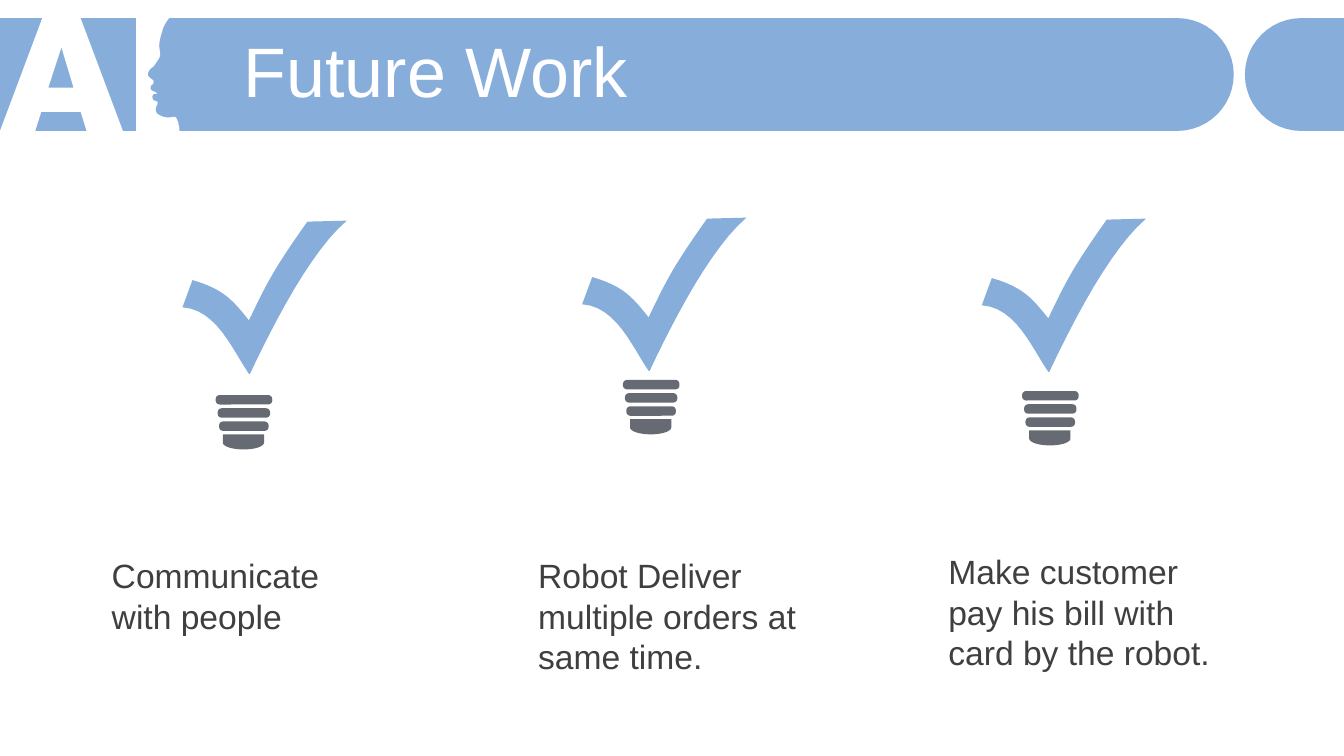
from lxml.etree import SubElement
from pptx import Presentation
from pptx.dml.color import RGBColor
from pptx.enum.shapes import MSO_SHAPE as Preset
from pptx.enum.text import MSO_ANCHOR as Anchor, MSO_AUTO_SIZE as AutoSize, PP_ALIGN as Align
from pptx.oxml.ns import qn
from pptx.util import Inches, Pt

BLUE = RGBColor(0x87, 0xAD, 0xDB)
WHITE = RGBColor(0xFF, 0xFF, 0xFF)
NAVY = RGBColor(0x22, 0x2A, 0x35)
CHARCOAL = RGBColor(0x3F, 0x3F, 0x3F)

COLUMNS = 160
BAND_TOP, BAND_BOTTOM = 2.16, 15.6
CURVE_STEPS = 12

LETTER_A = [(5.04, BAND_TOP), (9.6, BAND_TOP), (14.64, BAND_BOTTOM), (10.32, BAND_BOTTOM),
            (9.6, 13.32), (4.92, 13.32), (4.2, BAND_BOTTOM), (0, BAND_BOTTOM)]
LETTER_A_HOLE = [(7.32, 5.64), (5.76, 10.44), (8.76, 10.44)]
PROFILE = [
    (16.2, BAND_TOP), (20.16, BAND_TOP), (19.92, 2.4, 19.44, 3.12, 19.32, 3.72),
    (19.08, 4.44, 18.96, 5.04, 18.96, 5.52), (19.08, 6.48), (19, 6.84),
    (18.84, 7.08, 18.36, 7.92, 18.12, 8.04), (17.76, 8.28, 17.52, 8.76, 17.64, 9),
    (17.76, 9.24, 18, 9.36, 18.12, 9.48), (18.24, 9.48, 18.36, 9.72, 18.24, 9.96),
    (18.24, 10.08, 18, 10.08, 18, 10.2), (17.88, 10.44, 17.88, 10.68, 18.12, 10.8),
    (18.36, 10.92, 18.72, 11.04, 18.72, 11.16), (18.72, 11.16, 18.24, 11.16, 18.24, 11.28),
    (18.12, 11.4, 18.12, 11.64, 18.24, 11.88), (18.24, 12, 18.6, 12, 18.72, 12.12),
    (18.84, 12.36, 18.72, 12.36, 18.6, 12.72), (18.48, 13.08, 18.48, 13.56, 19.2, 13.8),
    (19.68, 14.04, 20.16, 14.04, 20.64, 13.92), (20.88, 13.92),
    (21.12, 14.16, 21.12, 14.4, 21.24, 14.64), (21.24, 14.88, 21.36, 15.12, 21.36, 15.36),
    (21.36, BAND_BOTTOM), (16.2, BAND_BOTTOM)]
CHECK = [(19.56, 0), (15.36, 3.6, 11.04, 11.88, 8.04, 18.24), (7.92, 18.24),
         (6, 15.48, 4.08, 10.56, 0, 10.32), (1.2, 7.08),
         (4.92, 8.16, 6, 9.48, 7.92, 11.88), (10.08, 7.32, 11.04, 5.52, 14.88, 0.12)]
BULB_BASE = [(0.84, 4.68), (5.76, 4.68), (5.76, 5.64),
             (5.76, 6.12, 4.68, 6.48, 3.3, 6.48), (1.98, 6.48, 0.84, 6.12, 0.84, 5.64)]
BULB_RINGS = [(0, 6.74), (0.24, 6.24), (0.4, 5.9)]
RING_PITCH, RING_HEIGHT = 1.57, 1.13

IDEAS = [
    ("Communicate with people", (21.72, 26.28), (25.68, 47.04), (12.12, 65.52, 33.84, 15.72)),
    ("Robot Deliver multiple orders at same time.", (69.3, 25.92), (74.16, 45.24),
     (62.88, 65.52, 33.84, 15.72)),
    ("Make customer pay his bill with card by the robot.", (116.88, 26.04), (121.68, 46.56),
     (111.72, 65.04, 36.36, 15.72)),
]


def write(text_frame, text, size=24, color=CHARCOAL, font="Arial", anchor=Anchor.TOP, spacing=None):
    text_frame.word_wrap = True
    text_frame.auto_size = AutoSize.NONE
    text_frame.vertical_anchor = anchor
    paragraph = text_frame.paragraphs[0]
    paragraph.alignment = Align.LEFT
    paragraph.line_spacing = spacing
    run = paragraph.add_run()
    run.text = text
    run.font.name, run.font.size, run.font.color.rgb = font, Pt(size), color


def flatten(outline):
    points = []
    for step in outline:
        if len(step) == 2:
            points.append(step)
            continue
        controls = (points[-1], step[:2], step[2:4], step[4:])
        for index in range(1, CURVE_STEPS + 1):
            t = index / CURVE_STEPS
            weights = ((1 - t) ** 3, 3 * t * (1 - t) ** 2, 3 * t ** 2 * (1 - t), t ** 3)
            points.append(tuple(sum(weight * control[axis] for weight, control in zip(weights, controls))
                                for axis in (0, 1)))
    return points


class SlideBuilder:
    def __init__(self, presentation):
        self.cell = presentation.slide_width / COLUMNS
        self.slide = presentation.slides.add_slide(presentation.slide_layouts[5])
        self.shapes = self.slide.shapes

    def grid(self, *lengths):
        return [round(length * self.cell) for length in lengths]

    def paint(self, shape, color, opacity=100):
        shape.shadow.inherit = False
        shape.fill.solid()
        shape.fill.fore_color.rgb = color
        shape.line.fill.background()
        if opacity < 100:
            color_node = shape.element.spPr.find(qn("a:solidFill"))[0]
            SubElement(color_node, qn("a:alpha"), val=str(opacity * 1000))

    def freeform(self, *outlines, color=BLUE, opacity=100, origin=(0, 0), shapes=None):
        builder = None
        for outline in outlines:
            start, *others = [self.grid(x + origin[0], y + origin[1]) for x, y in flatten(outline)]
            if builder is None:
                builder = (shapes or self.shapes).build_freeform(*start, scale=1.0)
            else:
                builder.move_to(*start)
            builder.add_line_segments(others, close=True)
        self.paint(builder.convert_to_shape(), color, opacity)

    def band(self, flat_edge, center, direction):
        radius = (BAND_BOTTOM - BAND_TOP) / 2
        middle = BAND_TOP + radius
        handle = radius * 0.55
        tip, bend = center + direction * radius, center + direction * handle
        self.freeform([(flat_edge, BAND_TOP), (center, BAND_TOP),
                       (bend, BAND_TOP, tip, middle - handle, tip, middle),
                       (tip, middle + handle, bend, BAND_BOTTOM, center, BAND_BOTTOM),
                       (flat_edge, BAND_BOTTOM)])

    def bulb(self, left, top):
        group = self.shapes.add_group_shape()
        for row, (inset, width) in enumerate(BULB_RINGS):
            ring = group.shapes.add_shape(Preset.ROUNDED_RECTANGLE, *self.grid(
                left + inset, top + row * RING_PITCH, width, RING_HEIGHT))
            ring.adjustments[0] = 0.42
            self.paint(ring, NAVY, 69)
        self.freeform(BULB_BASE, color=NAVY, opacity=69, origin=(left, top), shapes=group.shapes)

    def title(self, text, *box):
        title = self.shapes.title
        title.left, title.top, title.width, title.height = self.grid(*box)
        title.element.getparent().append(title.element)
        write(title.text_frame, text, size=50, color=WHITE, anchor=Anchor.MIDDLE, spacing=0.8)

    def text(self, text, *box):
        write(self.shapes.add_textbox(*self.grid(*box)).text_frame, text)


def main():
    presentation = Presentation()
    presentation.slide_width, presentation.slide_height = Inches(13.33), Inches(7.5)
    builder = SlideBuilder(presentation)
    builder.band(0, 140.16, 1)
    builder.freeform(LETTER_A, LETTER_A_HOLE, PROFILE, color=WHITE)
    builder.band(COLUMNS, 154.92, -1)
    builder.title("Future Work", 27.84, 4.44, 128.28, 9.48)
    for text, check_origin, bulb_origin, text_box in IDEAS:
        builder.bulb(*bulb_origin)
        builder.freeform(CHECK, origin=check_origin)
        builder.text(text, *text_box)
    presentation.save("out.pptx")


if __name__ == "__main__":
    main()
